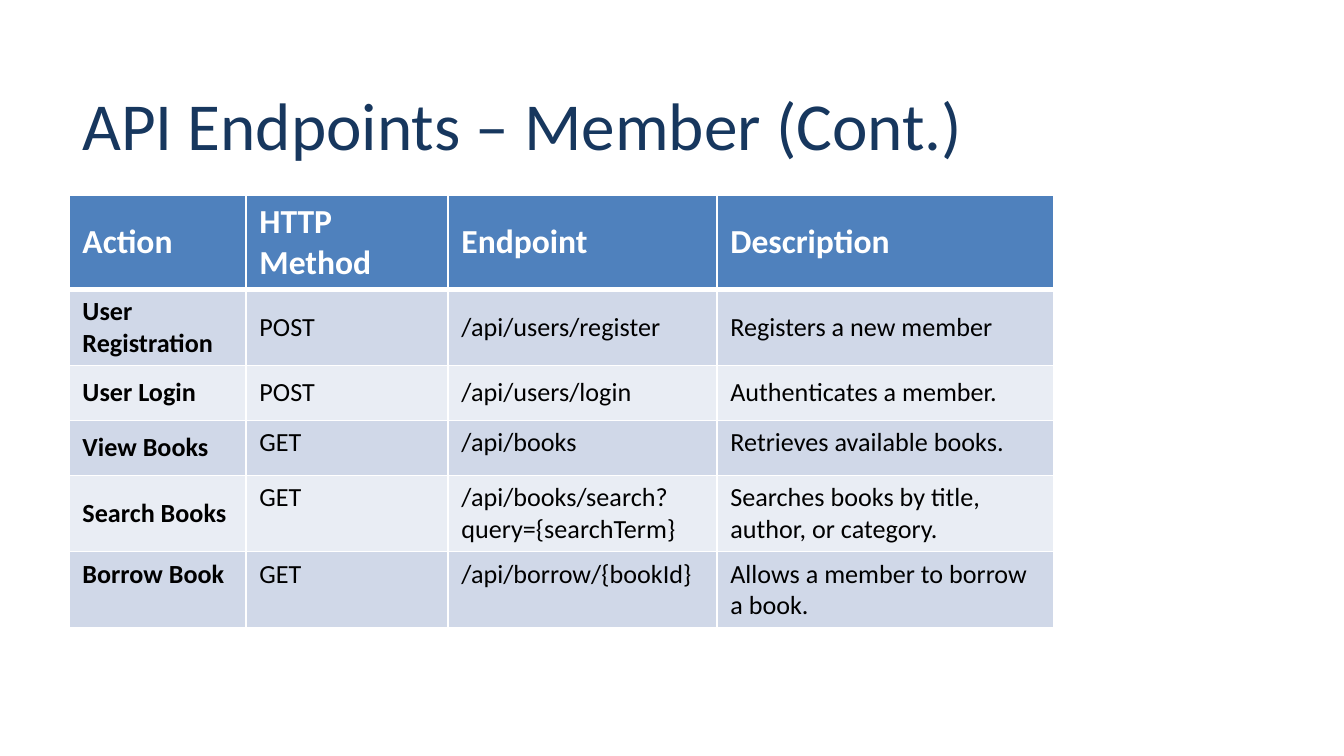
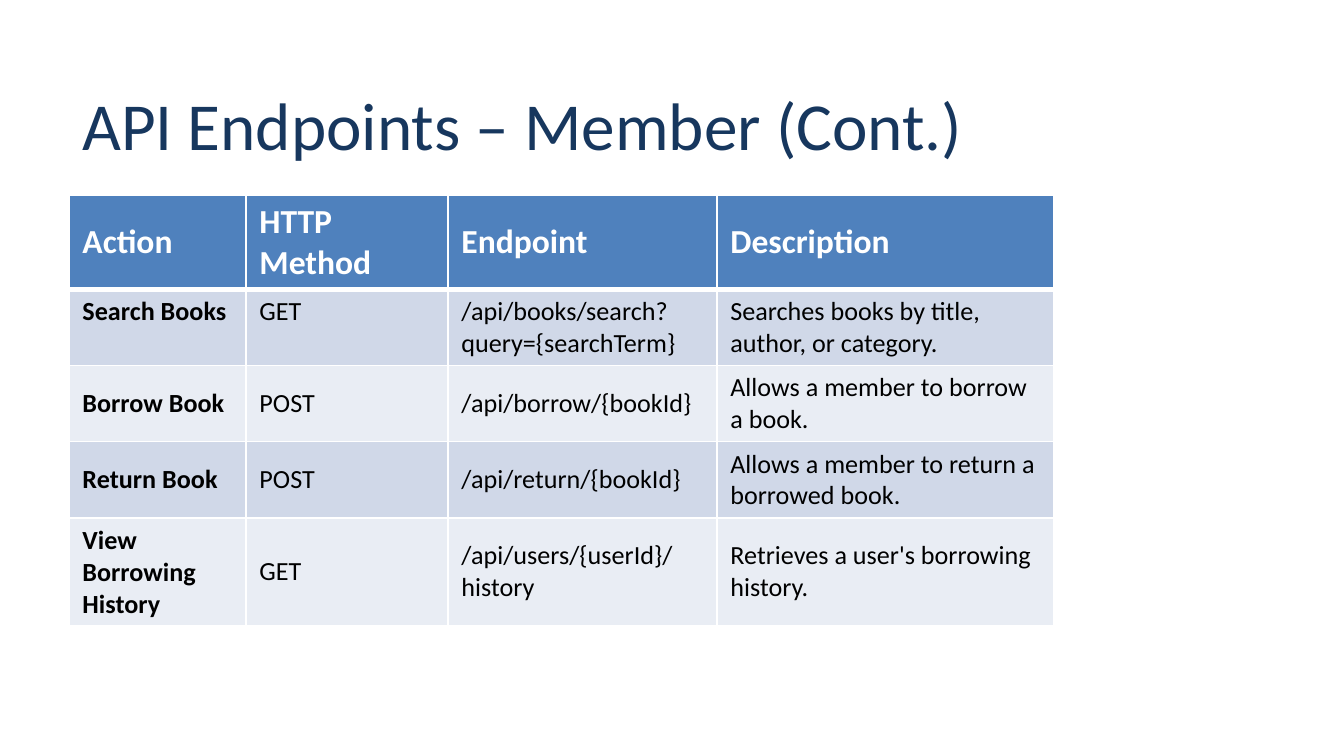
from dataclasses import dataclass

from lxml.etree import SubElement as Sub
from pptx import Presentation
from pptx.dml.color import RGBColor as Rgb
from pptx.enum.text import MSO_ANCHOR as Anchor
from pptx.oxml.ns import qn
from pptx.util import Emu, Pt


# Colours, type sizes and line widths
@dataclass(frozen=True)
class Theme:
    font: str = "Calibri"
    navy: str = "17375E"
    blue: str = "4F81BD"
    dark: str = "D0D8E8"
    light: str = "E9EDF4"
    white: str = "FFFFFF"
    black: str = "000000"
    title: int = 36
    head: int = 18
    body: int = 14
    thin: int = 1
    thick: int = 3


THEME = Theme()
SCALE = 914400 / 134.4
MID, TOP = Anchor.MIDDLE, Anchor.TOP

# Content: four texts a row, then the anchors of the action and of the rest
TITLE = "API Endpoints – Member (Cont.)"
HEAD = ("Action", "HTTP Method", "Endpoint", "Description")
WIDTHS = (177, 202, 269, 337)
SEARCH = ("Search Books", "GET", "/api/books/search?query={searchTerm}",
          "Searches books by title, author, or category.")
ACCESS = [
    (("User Registration", "POST", "/api/users/register",
      "Registers a new member"), MID, MID),
    (("User Login", "POST", "/api/users/login",
      "Authenticates a member."), MID, MID),
    (("View Books", "GET", "/api/books",
      "Retrieves available books."), MID, TOP),
    (SEARCH, MID, TOP),
    (("Borrow Book", "GET", "/api/borrow/{bookId}",
      "Allows a member to borrow a book."), TOP, TOP),
]
LOANS = [
    (SEARCH, TOP, TOP),
    (("Borrow Book", "POST", "/api/borrow/{bookId}",
      "Allows a member to borrow a book."), MID, MID),
    (("Return Book", "POST", "/api/return/{bookId}",
      "Allows a member to return a borrowed book."), MID, MID),
    (("View Borrowing History", "GET", "/api/users/{userId}/history",
      "Retrieves a user's borrowing history."), MID, MID),
]


def px(count):
    return Emu(round(count * SCALE))


def write(frame, text, *, size, color, bold=False, anchor=MID):
    frame.word_wrap = True
    frame.vertical_anchor = anchor
    run = frame.paragraphs[0].add_run()
    run.text = text
    font = run.font
    font.name, font.size, font.bold = THEME.font, Pt(size), bold
    font.color.rgb = Rgb.from_string(color)


def add_title(slide, text):
    box = slide.shapes.add_textbox(px(69), px(67), px(942), px(113))
    write(box.text_frame, text, size=THEME.title, color=THEME.navy)


def edge(cell, side, width):
    props = cell._tc.get_or_add_tcPr()
    line = Sub(props, qn(f"a:ln{side}"), w=str(Pt(width)))
    fill = Sub(line, qn("a:solidFill"))
    Sub(fill, qn("a:srgbClr"), val=THEME.white)


def style(cell, row):
    # Borders come before the fill in the cell properties
    thick = {0: "B", 1: "T"}.get(row)
    for side in "LRTB":
        edge(cell, side, THEME.thick if side == thick else THEME.thin)
    band = THEME.dark if row % 2 else THEME.light
    cell.fill.solid()
    cell.fill.fore_color.rgb = Rgb.from_string(band if row else THEME.blue)


def add_grid(slide, rows):
    lines = [(HEAD, MID, MID), *rows]
    frame = slide.shapes.add_table(len(lines), len(HEAD), px(69), px(195),
                                   px(sum(WIDTHS)), px(431))
    grid = frame.table
    for col, width in zip(grid.columns, WIDTHS):
        col.width = px(width)
    # Rows share one least height and grow with their text
    for row in grid.rows:
        row.height = px(55)
    frame.height = px(431)

    for r, (texts, first, rest) in enumerate(lines):
        for c, text in enumerate(texts):
            cell = grid.cell(r, c)
            style(cell, r)
            anchor = rest if c else first
            cell.vertical_anchor = anchor
            write(cell.text_frame, text,
                  size=THEME.body if r else THEME.head,
                  color=THEME.black if r else THEME.white,
                  bold=r == 0 or c == 0, anchor=anchor)


def main():
    deck = Presentation()
    deck.slide_width, deck.slide_height = px(1344), px(756)
    for rows in (ACCESS, LOANS):
        slide = deck.slides.add_slide(deck.slide_layouts[6])
        add_title(slide, TITLE)
        add_grid(slide, rows)
    deck.save("out.pptx")


if __name__ == "__main__":
    main()
